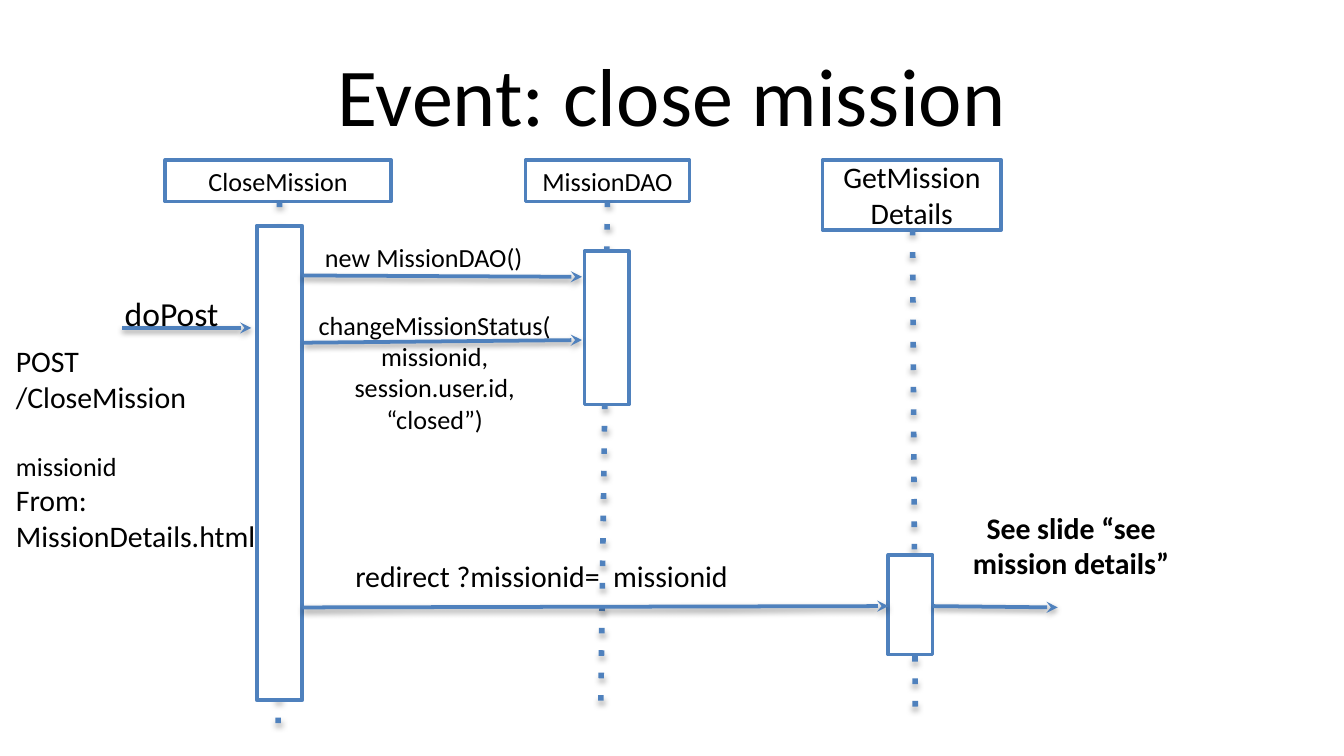
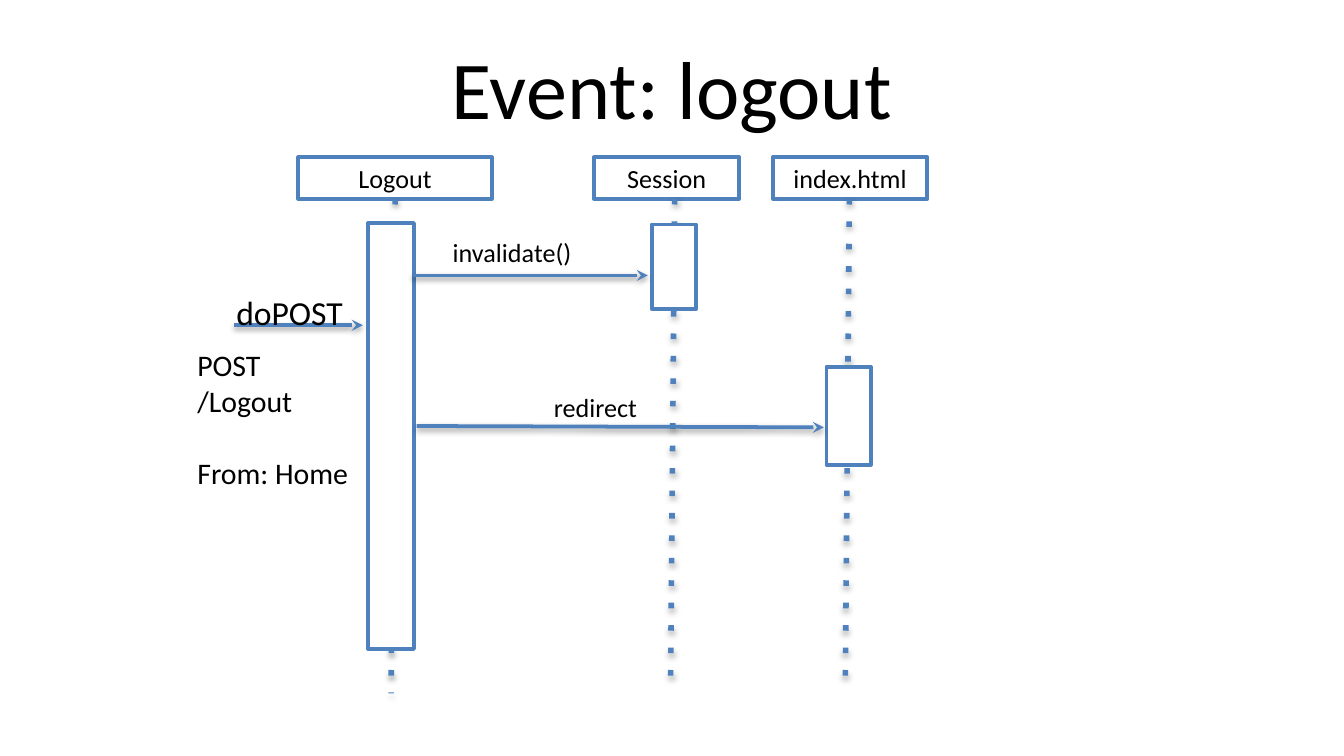
from dataclasses import dataclass

from lxml.etree import SubElement as Sub
from pptx import Presentation
from pptx.dml.color import RGBColor as Rgb
from pptx.enum.shapes import MSO_CONNECTOR as Conn, MSO_SHAPE as Kind
from pptx.enum.text import MSO_ANCHOR as Anchor, MSO_AUTO_SIZE as Fit, PP_ALIGN as Align
from pptx.oxml.ns import qn
from pptx.util import Inches, Pt


@dataclass(frozen=True)
class Theme:
    """Colours, type sizes and line widths shared by the slides."""
    font: str = "Calibri"
    ink: Rgb = Rgb(0, 0, 0)
    paper: Rgb = Rgb(255, 255, 255)
    blue: Rgb = Rgb(0x4F, 0x81, 0xBD)
    title: int = 44
    call: int = 18
    body: int = 16
    small: int = 14
    edge: int = 2
    dots: int = 3


T = Theme()
WIDE = 10  # slide width
TALL = WIDE * 9 / 16  # slide height


@dataclass(frozen=True)
class Para:
    """One paragraph; gap is the space before it, in points."""
    text: str
    size: int = T.body
    gap: float = 0
    bold: bool = False


@dataclass(frozen=True)
class Note:
    """A free text with its box."""
    box: tuple[float, float, float, float]
    paras: list[Para]
    align: Align = Align.LEFT


@dataclass(frozen=True)
class Life:
    """A participant: head box, dotted lifeline and activation bar."""
    name: str
    left: float
    width: float
    start: float
    end: tuple[float, float]
    bar: tuple[float, float, float, float]
    height: float = 0.31
    size: int = T.small


@dataclass(frozen=True)
class Arrow:
    """A message from one point to another."""
    start: tuple[float, float]
    end: tuple[float, float]


@dataclass(frozen=True)
class Scene:
    """The content of one sequence diagram."""
    title: str
    depth: float
    top: float
    lives: list[Life]
    arrows: list[Arrow]
    notes: list[Note]


def style(item, form: dict) -> None:
    """Set attributes from a dict of format values."""
    for key, value in form.items():
        setattr(item, key, value)


def place(*nums: float) -> list:
    """Turn numbers into inch lengths."""
    return [Inches(num) for num in nums]


def write(frame, paras: list[Para], align: Align, anchor: Anchor) -> None:
    """Fill a text frame with formatted paragraphs."""
    style(frame, {"word_wrap": True, "auto_size": Fit.NONE, "vertical_anchor": anchor})
    for num, para in enumerate(paras):
        line = frame.paragraphs[0] if num == 0 else frame.add_paragraph()
        style(line, {"alignment": align, "space_before": Pt(para.gap)})
        run = line.add_run()
        run.text = para.text
        style(run.font, {"name": T.font, "size": Pt(para.size), "bold": para.bold})
        run.font.color.rgb = T.ink


def add_box(slide, *box: float):
    """Add a white box with a blue edge."""
    shape = slide.shapes.add_shape(Kind.RECTANGLE, *place(*box))
    shape.shadow.inherit = False
    shape.fill.solid()
    shape.fill.fore_color.rgb = T.paper
    shape.line.color.rgb = T.blue
    shape.line.width = Pt(T.edge)
    return shape


def add_line(slide, start: tuple, end: tuple, dotted: bool = False) -> None:
    """Add a shadowed line: a dotted lifeline or a message arrow."""
    link = slide.shapes.add_connector(Conn.STRAIGHT, *place(*start, *end))
    link.line.color.rgb = T.blue
    link.line.width = Pt(T.dots if dotted else T.edge)
    props = link.element.spPr
    edge = props.find(qn("a:ln"))
    if dotted:
        Sub(edge, qn("a:prstDash"), val="dot")
    else:
        Sub(edge, qn("a:tailEnd"), type="stealth")
    drop, alpha = (1.8, 35000) if dotted else (1.6, 38000)
    shade = Sub(Sub(props, qn("a:effectLst")), qn("a:outerShdw"), blurRad=str(Pt(3.1)),
                dist=str(Pt(drop)), dir="5400000", rotWithShape="0")
    Sub(Sub(shade, qn("a:srgbClr"), val=str(T.ink)), qn("a:alpha"), val=str(alpha))


def add_title(slide, text: str, depth: float) -> None:
    """Place and format the slide title."""
    title = slide.shapes.title
    style(title, dict(zip(("left", "top", "width", "height"), place(0.5, 0.23, 9, depth))))
    write(title.text_frame, [Para(text, T.title)], Align.CENTER, Anchor.MIDDLE)


def add_life(slide, life: Life, top: float) -> None:
    """Draw a participant from head to lifeline end."""
    head = add_box(slide, life.left, top, life.width, life.height)
    write(head.text_frame, [Para(life.name, life.size)], Align.CENTER, Anchor.MIDDLE)
    add_line(slide, (life.start, top + life.height), life.end, dotted=True)
    add_box(slide, *life.bar)


def add_note(slide, note: Note) -> None:
    """Add a free text."""
    area = slide.shapes.add_textbox(*place(*note.box))
    write(area.text_frame, note.paras, note.align, Anchor.TOP)


def draw(deck, scene: Scene) -> None:
    """Build one slide from its scene."""
    slide = deck.slides.add_slide(deck.slide_layouts[5])
    add_title(slide, scene.title, scene.depth)
    for life in scene.lives:
        add_life(slide, life, scene.top)
    for arrow in scene.arrows:
        add_line(slide, arrow.start, arrow.end)
    for note in scene.notes:
        add_note(slide, note)


GAP = 19.5  # one body line
MID = Align.CENTER

CLOSE = Scene(
    "Event: close mission", 0.94, 1.19,
    [
        Life("CloseMission", 1.23, 1.68, 2.08, (2.07, 5.42), (1.91, 1.68, 0.34, 3.53)),
        Life("MissionDAO", 3.91, 1.22, 4.52, (4.47, 5.28), (4.35, 1.87, 0.33, 1.14)),
        Life("GetMissionDetails", 6.12, 1.33, 6.79, (6.81, 5.27), (6.61, 4.13, 0.33, 0.74),
             0.52, T.body),
    ],
    [
        Arrow((0.91, 2.44), (1.87, 2.44)),
        Arrow((2.25, 2.05), (4.33, 2.06)),
        Arrow((2.26, 2.55), (4.33, 2.53)),
        Arrow((2.25, 4.52), (6.61, 4.51)),
        Arrow((6.94, 4.51), (7.87, 4.52)),
    ],
    [
        Note((0.83, 2.13, 1, 0.3), [Para("doPost", T.call)]),
        Note((2.26, 2.25, 1.95, 0.25), [Para(
            "changeMissionStatus(missionid, session.user.id, “closed”)", T.small)], MID),
        Note((0.02, 2.5, 2.1, 2.49), [
            Para("POST"), Para("/CloseMission"), Para("missionid", T.small, GAP),
            Para("From: "), Para("MissionDetails.html")]),
        Note((2.32, 1.75, 1.76, 0.25), [Para("new MissionDAO()", T.small)]),
        Note((2.37, 4.1, 3.32, 0.36), [Para("redirect ?missionid=  missionid")], MID),
        Note((7.02, 3.74, 1.9, 0.63),
             [Para("See slide “see mission details”", bold=True)], MID),
    ],
)

LOGOUT = Scene(
    "Event: logout", 0.83, 1.17,
    [
        Life("Logout", 2.22, 1.44, 2.94, (2.91, 5.16), (2.74, 1.66, 0.34, 3.17)),
        Life("Session", 4.42, 1.08, 5.02, (4.99, 5.05), (4.85, 1.67, 0.33, 0.63)),
        Life("index.html", 5.75, 1.15, 6.32, (6.29, 5.05), (6.15, 2.73, 0.33, 0.73)),
    ],
    [
        Arrow((1.74, 2.42), (2.7, 2.42)),
        Arrow((3.07, 2.05), (4.82, 2.05)),
        Arrow((3.1, 3.17), (6.13, 3.18)),
    ],
    [
        Note((1.66, 2.12, 1, 0.3), [Para("doPOST", T.call)]),
        Note((1.37, 2.53, 1.32, 2.31),
             [Para("POST"), Para("/Logout"), Para("From: Home", gap=GAP)]),
        Note((3.27, 2.86, 2.32, 0.28), [Para("redirect", T.small)], MID),
        Note((3.27, 1.71, 1.76, 0.25), [Para("invalidate()", T.small)]),
    ],
)


def main() -> None:
    """Build and save the deck."""
    deck = Presentation()
    style(deck, {"slide_width": Inches(WIDE), "slide_height": Inches(TALL)})
    for scene in (CLOSE, LOGOUT):
        draw(deck, scene)
    deck.save("out.pptx")


main()
